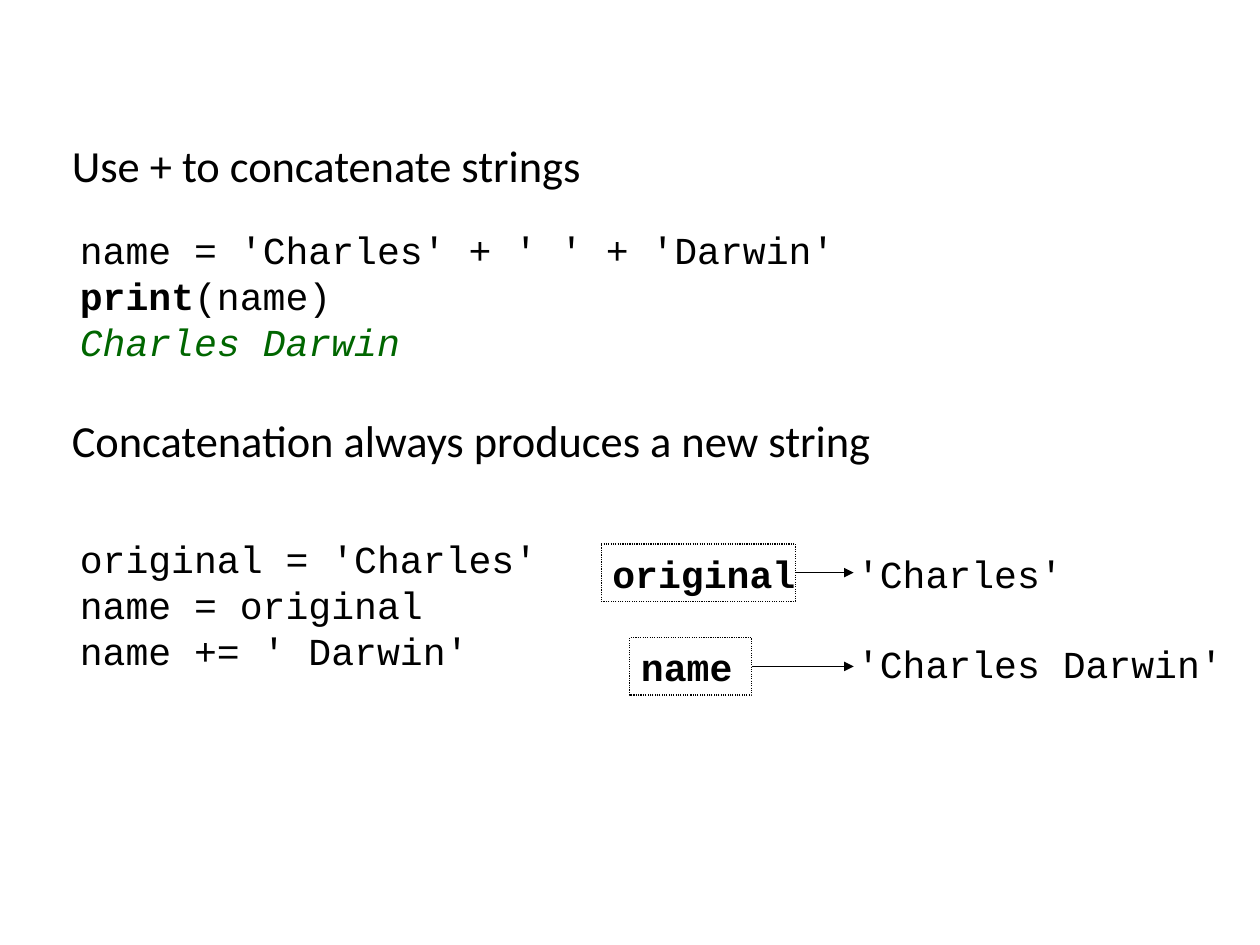
"""Build a slide on joining strings with the plus operator."""
from lxml import etree
from pptx import Presentation
from pptx.dml.color import RGBColor
from pptx.enum import dml, shapes, text
from pptx.oxml import ns
from pptx.util import Pt

HUES = {"ink": "000000", "output": "006600"}
CODE_X = 43.2
VALUE_X = 532.8
TIP_X = 537.8


def style(font, face, size, hue="ink", bold=False, italic=False):
    font.name = face
    font.size = Pt(size)
    font.bold = bold
    font.italic = italic
    font.color.rgb = RGBColor.from_string(HUES[hue])


def frame(shape):
    body = shape.text_frame
    body.word_wrap = False
    body.vertical_anchor = text.MSO_ANCHOR.TOP
    return body


def box(slide, left, top, width, height):
    return slide.shapes.add_textbox(Pt(left), Pt(top), Pt(width), Pt(height))


def heading(slide, top, width, words):
    para = frame(box(slide, 38.2, top, width, 57.6)).paragraphs[0]
    para.text = words
    para.line_spacing = 1.5
    style(para.font, "Calibri", 28)


def code(shape, lines, gap=0, **looks):
    body = frame(shape)
    for index, line in enumerate(lines):
        para = body.paragraphs[0] if index == 0 else body.add_paragraph()
        para.text = line
        para.alignment = text.PP_ALIGN.LEFT
        para.line_spacing = Pt(29)
        para.space_before = Pt(gap if index else 0)
        style(para.font, "Courier New", 24, **looks)
    return body


def label(slide, left, top, width, word):
    rect = slide.shapes.add_shape(
        shapes.MSO_SHAPE.RECTANGLE, Pt(left), Pt(top), Pt(width), Pt(36))
    rect.shadow.inherit = False
    rect.fill.background()
    rect.line.color.rgb = RGBColor.from_string(HUES["ink"])
    rect.line.width = Pt(0.75)
    rect.line.dash_style = dml.MSO_LINE.ROUND_DOT
    code(rect, [word], bold=True)
    return rect


def arrow(slide, source):
    level = source.top + source.height // 2
    line = slide.shapes.add_connector(
        shapes.MSO_CONNECTOR.STRAIGHT, source.left + source.width, level,
        Pt(TIP_X), level)
    line.begin_connect(source, 3)
    line.line.color.rgb = RGBColor.from_string(HUES["ink"])
    line.line.width = Pt(0.75)
    props = line._element.spPr
    tail = etree.SubElement(props.find(ns.qn("a:ln")), ns.qn("a:tailEnd"))
    tail.set("type", "triangle")
    etree.SubElement(props, ns.qn("a:effectLst"))


def main():
    deck = Presentation()
    deck.slide_width, deck.slide_height = Pt(793.75), Pt(595.25)
    slide = deck.slides.add_slide(deck.slide_layouts[6])

    heading(slide, 66.6, 409, "Use + to concatenate strings")
    body = code(box(slide, CODE_X, 138.6, 721.4, 100),
                ["name = 'Charles' + ' ' + 'Darwin'", "", "Charles Darwin"])
    call, result = body.paragraphs[1:]
    call.add_run().text = "print"
    call.add_run().text = "(name)"
    call.runs[0].font.bold = True
    style(result.font, "Courier New", 24, hue="output", italic=True)

    heading(slide, 239.8, 592, "Concatenation always produces a new string")
    code(box(slide, CODE_X, 333.6, 310, 199.4),
         ["original = 'Charles'", "name = original", "name += ' Darwin'"])
    code(box(slide, VALUE_X, 342.7, 258, 163.4),
         ["'Charles'", "'Charles Darwin'"], gap=28)

    for spot in ((378.7, 342.7, 122.4, "original"), (396.7, 401.8, 77, "name")):
        arrow(slide, label(slide, *spot))

    deck.save("out.pptx")


if __name__ == "__main__":
    main()
